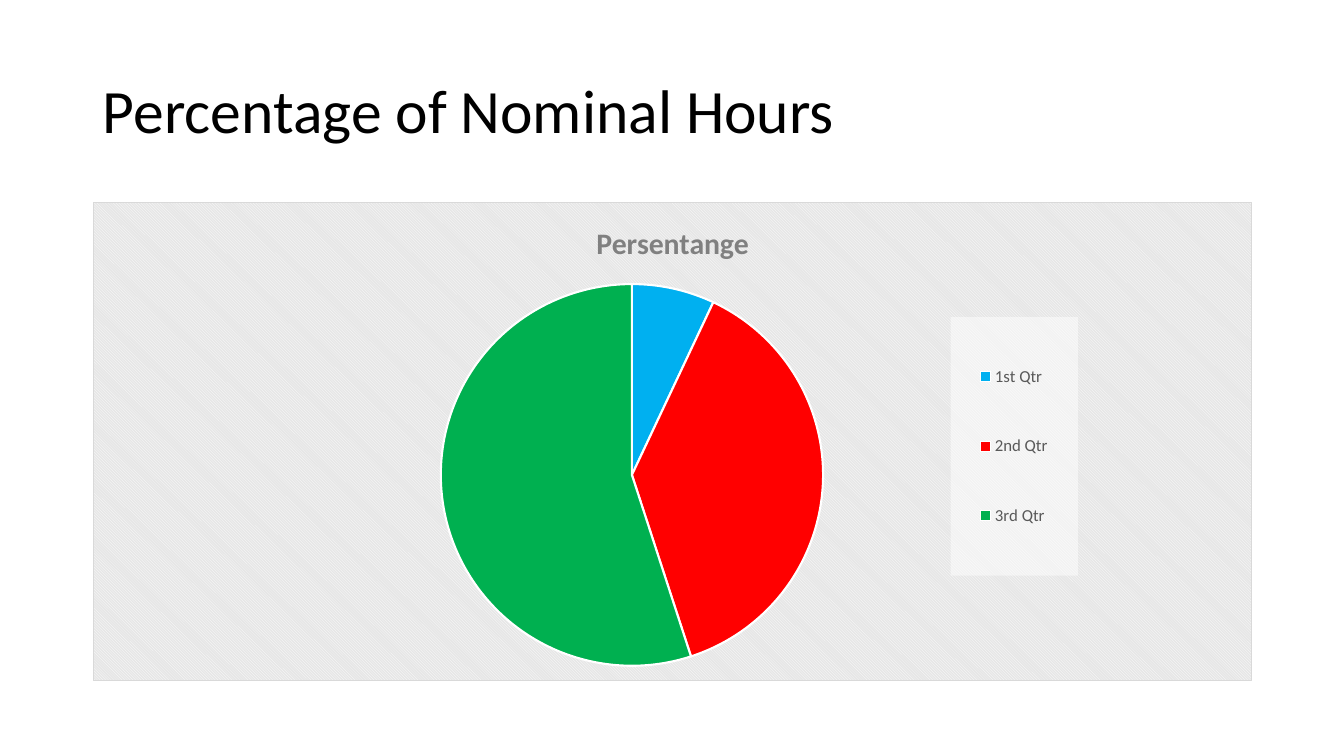
from pptx import Presentation
from pptx.chart.data import CategoryChartData
from pptx.dml.color import RGBColor
from pptx.enum.chart import XL_CHART_TYPE, XL_LEGEND_POSITION
from pptx.enum.text import MSO_ANCHOR, PP_ALIGN
from pptx.oxml import parse_xml
from pptx.oxml.ns import nsdecls, qn
from pptx.util import Inches, Pt

PIE = XL_CHART_TYPE.PIE
RIGHT = XL_LEGEND_POSITION.RIGHT
MIDDLE = MSO_ANCHOR.MIDDLE
LEFT = PP_ALIGN.LEFT

WIDTH, HEIGHT = Inches(13.33), Inches(7.5)
MARGIN = Inches(0.92)
CONTENT_WIDTH = Inches(11.5)
FONT = "Calibri"
SHARES = {"1st Qtr": (7, "00B0F0"), "2nd Qtr": (38, "FF0000"), "3rd Qtr": (55, "00B050")}

PANEL_STYLE = (
    f'<c:spPr {nsdecls("c", "a")}><a:pattFill prst="dkDnDiag">'
    '<a:fgClr><a:srgbClr val="FFFFFF"/></a:fgClr>'
    '<a:bgClr><a:srgbClr val="E6E6E6"/></a:bgClr></a:pattFill>'
    '<a:ln w="9525"><a:solidFill><a:srgbClr val="D9D9D9"/></a:solidFill></a:ln></c:spPr>'
)
LEGEND_STYLE = (
    f'<c:spPr {nsdecls("c", "a")}><a:solidFill><a:srgbClr val="FFFFFF">'
    '<a:alpha val="50000"/></a:srgbClr></a:solidFill><a:ln><a:noFill/></a:ln></c:spPr>'
)


def color(hex_value):
    return RGBColor.from_string(hex_value)


def style_font(font, size, hex_value, bold=False):
    font.name = FONT
    font.size = Pt(size)
    font.bold = bold
    font.color.rgb = color(hex_value)


def place_part(part, x, y, w, h, inner=False):
    old_layout = part.find(qn("c:layout"))
    if old_layout is not None:
        part.remove(old_layout)
    target = '<c:layoutTarget val="inner"/>' if inner else ""
    sizes = "".join(f'<c:{tag} val="{share}"/>' for tag, share in zip("xywh", (x, y, w, h)))
    layout = parse_xml(
        f'<c:layout {nsdecls("c")}><c:manualLayout>{target}'
        f'<c:xMode val="edge"/><c:yMode val="edge"/>{sizes}</c:manualLayout></c:layout>'
    )
    part.insert(0 if inner else 1, layout)


def add_heading(slide, text):
    heading = slide.shapes.title
    heading.left, heading.top = MARGIN, Inches(0.4)
    heading.width, heading.height = CONTENT_WIDTH, Inches(1.45)
    heading.text_frame.vertical_anchor = MIDDLE
    paragraph = heading.text_frame.paragraphs[0]
    paragraph.alignment = LEFT
    paragraph.line_spacing = 0.9
    run = paragraph.add_run()
    run.text = text
    style_font(run.font, 44, "000000")


def add_hours_pie(slide, name):
    data = CategoryChartData()
    data.categories = list(SHARES)
    data.add_series(name, [share for share, _ in SHARES.values()])
    chart = slide.shapes.add_chart(PIE, MARGIN, Inches(2), CONTENT_WIDTH, Inches(4.76), data).chart
    style_font(chart.font, 10, "000000")

    chart.has_title = True
    run = chart.chart_title.text_frame.paragraphs[0].add_run()
    run.text = name
    style_font(run.font, 21.3, "808080", True)

    chart.plots[0].vary_by_categories = True
    for index, (_, hex_value) in enumerate(SHARES.values()):
        slice_format = chart.plots[0].series[0].points[index].format
        slice_format.fill.solid()
        slice_format.fill.fore_color.rgb = color(hex_value)
        slice_format.line.color.rgb = color("FFFFFF")
        slice_format.line.width = Pt(1.5)

    chart.has_legend = True
    chart.legend.position = RIGHT
    chart.legend.include_in_layout = False
    style_font(chart.legend.font, 12, "595959")

    root = chart.element
    body = root.find(qn("c:chart"))
    legend = body.find(qn("c:legend"))
    place_part(body.find(qn("c:plotArea")), 0.3, 0.17, 0.33, 0.8, inner=True)
    place_part(legend, 0.74, 0.24, 0.11, 0.54)
    legend.find(qn("c:txPr")).addprevious(parse_xml(LEGEND_STYLE))
    root.find(qn("c:txPr")).addprevious(parse_xml(PANEL_STYLE))


def main():
    deck = Presentation()
    deck.slide_width, deck.slide_height = WIDTH, HEIGHT
    slide = deck.slides.add_slide(deck.slide_layouts[5])
    add_heading(slide, "Percentage of Nominal Hours")
    add_hours_pie(slide, "Persentange")
    deck.save("out.pptx")


if __name__ == "__main__":
    main()
